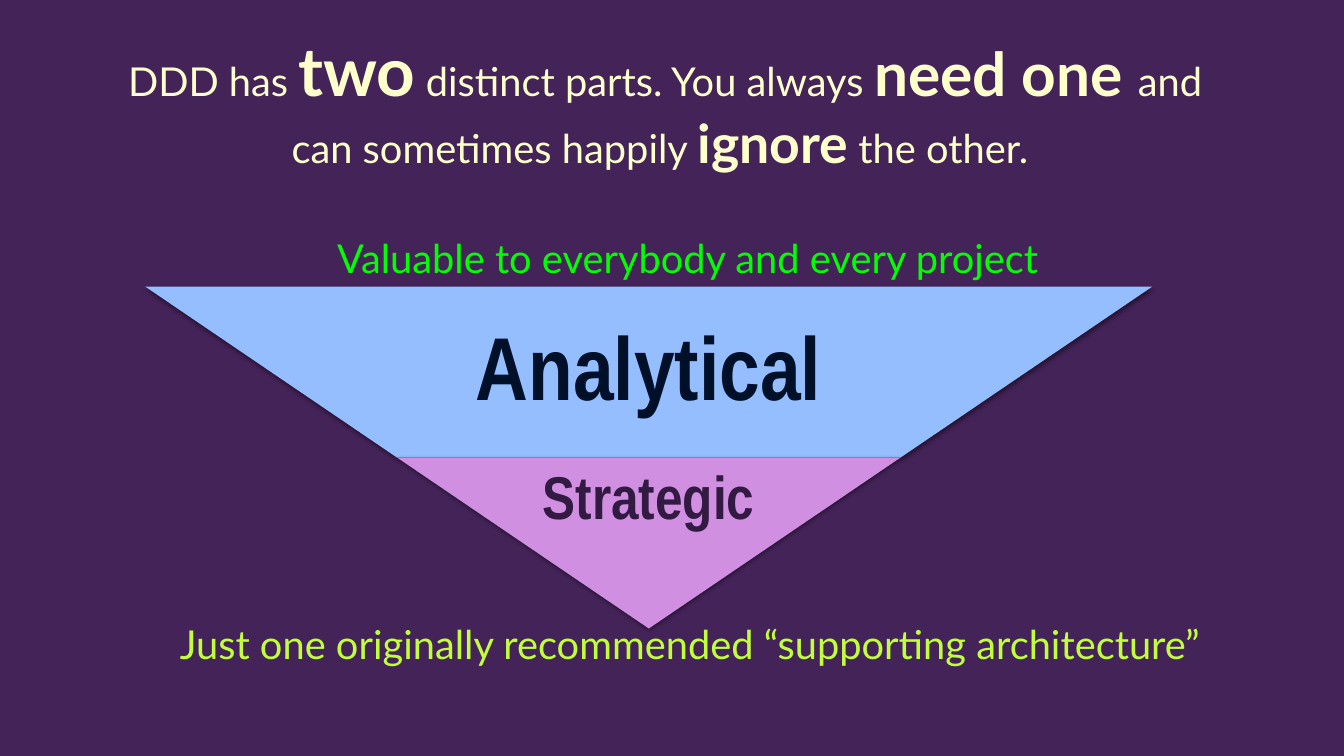
from lxml import etree
from pptx import Presentation
from pptx.dml.color import RGBColor
from pptx.enum.shapes import MSO_SHAPE
from pptx.enum.text import MSO_ANCHOR, PP_ALIGN
from pptx.oxml.ns import qn
from pptx.util import Inches, Pt

TRAP = MSO_SHAPE.TRAPEZOID
TOP, MID = MSO_ANCHOR.TOP, MSO_ANCHOR.MIDDLE
LEFT, CENTER = PP_ALIGN.LEFT, PP_ALIGN.CENTER
PLUM = RGBColor(0x44, 0x23, 0x59)
CREAM = RGBColor(0xFF, 0xFF, 0xCC)
GREEN = RGBColor(0x00, 0xFF, 0x00)
LIME = RGBColor(0xC1, 0xFF, 0x3D)
BLUE = RGBColor(0x94, 0xBE, 0xFF)
NAVY = RGBColor(0x00, 0x10, 0x28)
PINK = RGBColor(0xD0, 0x8F, 0xE1)
GRAPE = RGBColor(0x33, 0x1A, 0x43)
LATO, NARROW = "Lato", "Arial Narrow"
WIDE, HIGH = 13.6, 7.65
BODY = 29


def add_text(slide, box, runs, font, color, align=LEFT, anchor=TOP, line=1):
    frame = slide.shapes.add_textbox(*map(Inches, box)).text_frame
    frame.word_wrap = True
    frame.vertical_anchor = anchor
    frame.margin_left = frame.margin_right = Inches(0.12)
    frame.margin_top = frame.margin_bottom = Inches(0.06)
    para = frame.paragraphs[0]
    para.alignment = align
    para.line_spacing = line
    for words, size, bold in runs:
        run = para.add_run()
        run.text = words
        run.font.name = font
        run.font.size = Pt(size)
        run.font.bold = bold
        run.font.color.rgb = color


def add_shade(shape):
    effects = etree.SubElement(shape._element.spPr, qn("a:effectLst"))
    shade = etree.SubElement(
        effects, qn("a:outerShdw"), blurRad=str(Pt(3.5)),
        dist=str(Pt(1.1)), dir="5400000", rotWithShape="0")
    black = etree.SubElement(shade, qn("a:srgbClr"), val="000000")
    etree.SubElement(black, qn("a:alpha"), val="45000")


def add_band(slide, box, inset, fill):
    band = slide.shapes.add_shape(TRAP, *map(Inches, box))
    band.adjustments[0] = inset / box[3]
    band.rotation = 180
    band.fill.solid()
    band.fill.fore_color.rgb = fill
    band.line.fill.background()
    add_shade(band)


def add_title(slide, box):
    runs = [
        ("DDD has ", BODY, False),
        ("two", 49, True),
        (" distinct parts. You always ", BODY, False),
        ("need one ", 44, True),
        ("and can sometimes happily ", BODY, False),
        ("ignore", 39, True),
        (" the other. ", BODY, False),
    ]
    add_text(slide, box, runs, LATO, CREAM, CENTER)


def add_funnel(slide, box):
    left, top, width, height = box
    levels = [
        ("Analytical", 65, BLUE, NAVY, 1),
        ("Strategic", 44, PINK, GRAPE, 0.5),
    ]
    step = height / len(levels)
    inset = width / 2 / len(levels)
    for row, (word, size, fill, ink, share) in enumerate(levels):
        x, y = left + row * inset, top + row * step
        span = width - 2 * row * inset
        add_band(slide, (x, y, span, step), inset, fill)
        add_text(slide, (x, y, span, step * share), [(word, size, True)],
                 NARROW, ink, CENTER, MID, 0.9)


def add_note(slide, box, words, color):
    add_text(slide, box, [(words, BODY, False)], LATO, color)


def main():
    deck = Presentation()
    deck.slide_width, deck.slide_height = Inches(WIDE), Inches(HIGH)
    slide = deck.slides.add_slide(deck.slide_layouts[6])
    slide.background.fill.solid()
    slide.background.fill.fore_color.rgb = PLUM
    add_title(slide, (1.12, 0.24, 11.22, 1.6))
    add_funnel(slide, (1.47, 2.9, 10.19, 3.46))
    add_note(slide, (3.29, 2.3, 7.48, 0.61),
             "Valuable to everybody and every project", GREEN)
    add_note(slide, (1.7, 6.21, 10.81, 0.61),
             "Just one originally recommended “supporting architecture”", LIME)
    deck.save("out.pptx")


if __name__ == "__main__":
    main()
